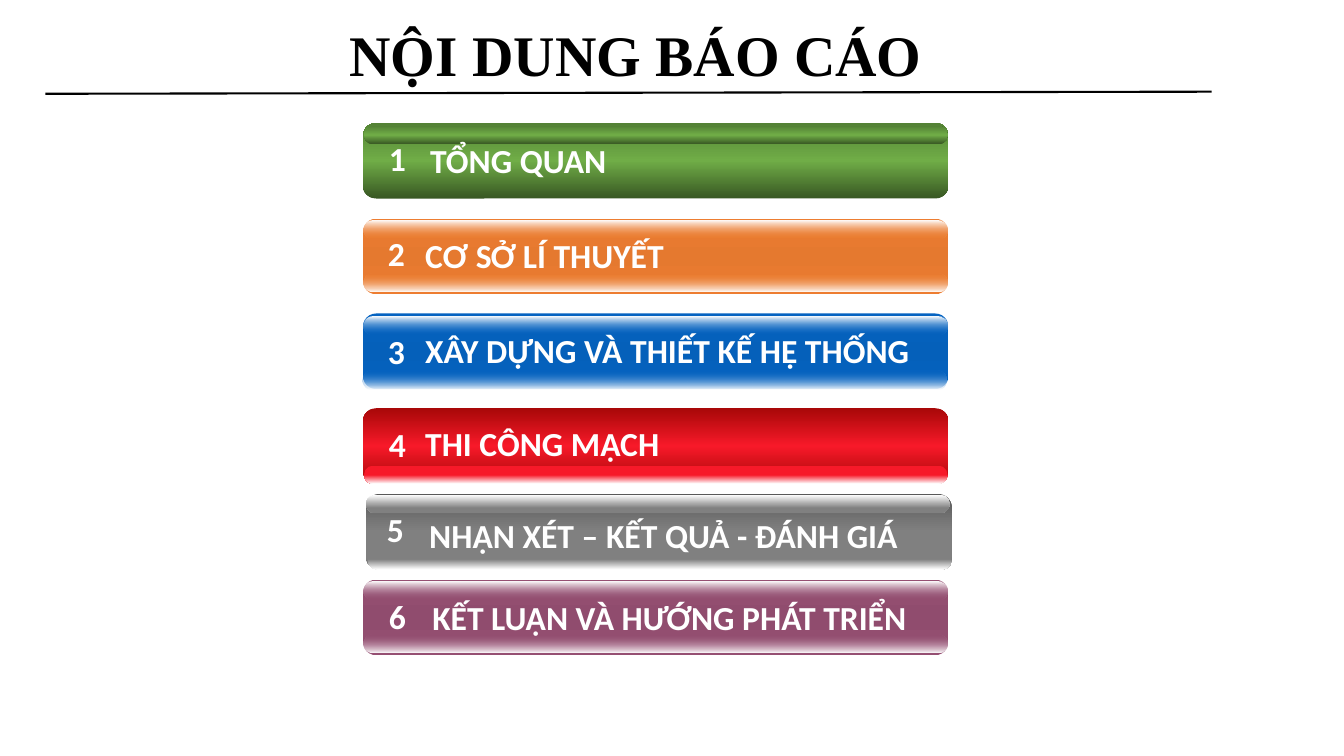
from lxml.etree import SubElement
from pptx import Presentation
from pptx.dml.color import RGBColor
from pptx.enum.shapes import MSO_CONNECTOR, MSO_SHAPE
from pptx.enum.text import MSO_ANCHOR, MSO_AUTO_SIZE, PP_ALIGN
from pptx.oxml.ns import qn
from pptx.util import Pt

# Colours
BLACK = RGBColor(0x00, 0x00, 0x00)
WHITE = RGBColor(0xFF, 0xFF, 0xFF)
PINE = RGBColor(0x38, 0x57, 0x23)
GREEN = RGBColor(0x70, 0xAD, 0x47)
MOSS = RGBColor(0x54, 0x82, 0x35)
ORANGE = RGBColor(0xED, 0x7D, 0x31)
RUST = RGBColor(0xE5, 0x79, 0x2F)
BLUE = RGBColor(0x05, 0x63, 0xC1)
NAVY = RGBColor(0x05, 0x60, 0xBA)
MAROON = RGBColor(0xA8, 0x08, 0x08)
RED = RGBColor(0xF7, 0x19, 0x29)
SLATE = RGBColor(0x59, 0x59, 0x59)
GREY = RGBColor(0x80, 0x80, 0x80)
PLUM = RGBColor(0x95, 0x4F, 0x72)
GRAPE = RGBColor(0x90, 0x4C, 0x6E)

# Sizes in points
BAR = (418.3, 54)
GLOSS = (416.9, 13)
INDENT = 36

# Text formats
TITLE = {"name": "Times New Roman", "size": Pt(41), "bold": True}
LABEL = {"name": "Calibri", "size": Pt(24), "bold": True}


def fade(main, mid):
    return [(0, main), (50, mid), (100, main)]


def shine(color):
    """Highlights at the top and the bottom edge of a bar."""
    top = [(0, WHITE), (100, color, 0)]
    low = [(0, color, 0), (100, WHITE)]
    return top, low


LEAF = [(0, PINE), (50, GREEN), (100, MOSS)]
SUN_TOP, SUN_LOW = shine(ORANGE)
SKY_TOP, SKY_LOW = shine(BLUE)
WINE_TOP, WINE_LOW = shine(PLUM)

# Bar: left, top, stops, angle; glosses: left, top, stops
# Number: left, top; label: left, top, width, text
ROWS = [
    ((259.2, 87.8, LEAF, 270), [(260, 90, LEAF)],
     (270.7, 95), (300.2, 96.5, 354.2, "TỔNG QUAN")),
    ((259.2, 156.2, fade(ORANGE, RUST), 90),
     [(260, 195.1, SUN_LOW), (260, 157.7, SUN_TOP)],
     (270, 162.7), (296.6, 164.2, 354.2, "CƠ SỞ LÍ THUYẾT")),
    ((259.2, 223.9, fade(BLUE, NAVY), 90),
     [(259.2, 265, SKY_LOW), (260, 226.1, SKY_TOP)],
     (270, 232.6), (296.6, 231.8, 379.4, "XÂY DỰNG VÀ THIẾT KẾ HỆ THỐNG")),
    ((259.2, 291.6, fade(MAROON, RED), 270),
     [(260, 332.6, [(52, RED), (100, WHITE)])],
     (270.7, 299.5), (296.6, 298.8, 354.2, "THI CÔNG MẠCH")),
    ((261.4, 352.8, [(0, SLATE), (50, GREY), (100, GREY)], 90),
     [(262.8, 393.8, [(44, GREY), (100, WHITE)]),
      (261.4, 353.5, [(0, WHITE), (72, GREY)])],
     (269.3, 360), (299.5, 364.3, 354.2, "NHẬN XÉT – KẾT QUẢ - ĐÁNH GIÁ")),
    ((259.2, 414, fade(PLUM, GRAPE), 90),
     [(260, 452.9, WINE_LOW), (260, 415.4, WINE_TOP)],
     (270.7, 421.9), (301.7, 422.6, 354.2, "KẾT LUẬN VÀ HƯỚNG PHÁT TRIỂN")),
]


class Deck:
    def __init__(self):
        self.prs = Presentation()
        self.prs.slide_width, self.prs.slide_height = Pt(960), Pt(540)
        self.slide = self.prs.slides.add_slide(self.prs.slide_layouts[6])

    def text(self, words, box, style, color, indent=0):
        shape = self.slide.shapes.add_textbox(*map(Pt, box))
        frame = shape.text_frame
        frame.word_wrap = True
        para = frame.paragraphs[0]
        if indent:
            props = para._p.get_or_add_pPr()
            props.set("marL", str(Pt(indent)))
            props.set("indent", str(-Pt(indent)))
        run = para.add_run()
        run.text = words
        for key, value in style.items():
            setattr(run.font, key, value)
        run.font.color.rgb = color
        return frame

    def round(self, shapes, left, top, size, curve, stops, angle):
        shape = shapes.add_shape(MSO_SHAPE.ROUNDED_RECTANGLE,
                                 Pt(left), Pt(top), *map(Pt, size))
        shape.adjustments[0] = curve
        shape.shadow.inherit = False
        shape.line.fill.background()
        # Gradient with any number of stops
        shape.fill.gradient()
        grad = shape._element.spPr.find(qn("a:gradFill"))
        for child in list(grad):
            grad.remove(child)
        items = SubElement(grad, qn("a:gsLst"))
        for place, color, *alpha in stops:
            stop = SubElement(items, qn("a:gs"), pos=str(place * 1000))
            tone = SubElement(stop, qn("a:srgbClr"), val=str(color))
            for value in alpha:
                SubElement(tone, qn("a:alpha"), val=str(value * 1000))
        SubElement(grad, qn("a:lin"), ang=str(angle * 60000), scaled="1")

    def rule(self, start, end, color, width):
        line = self.slide.shapes.add_connector(
            MSO_CONNECTOR.STRAIGHT, *map(Pt, start + end))
        line.line.color.rgb = color
        line.line.width = Pt(width)
        SubElement(line._element.spPr, qn("a:effectLst"))

    def row(self, number, bar, glosses, spot, label):
        left, top, stops, angle = bar
        group = self.slide.shapes.add_group_shape().shapes
        self.round(group, left, top, BAR, 0.175, stops, angle)
        for x, y, shades in glosses:
            self.round(group, x, y, GLOSS, 0.5, shades, angle if shades is stops else 90)
        x, y, width, words = label
        frames = [self.text(str(number), (*spot, 30.2, 36), LABEL, WHITE),
                  self.text(words, (x, y, width, 36), LABEL, WHITE, INDENT)]
        for frame in frames:
            frame.auto_size = MSO_AUTO_SIZE.SHAPE_TO_FIT_TEXT


def main():
    deck = Deck()

    # Heading and its rule
    head = deck.text("NỘI DUNG BÁO CÁO", (141.1, 1.4, 626.4, 79.9), TITLE, BLACK)
    head.vertical_anchor = MSO_ANCHOR.MIDDLE
    head.paragraphs[0].alignment = PP_ALIGN.CENTER
    head.paragraphs[0].line_spacing = 0.9
    deck.rule((32.4, 67), (865.4, 65.5), BLACK, 1.5)

    # Agenda bars
    for number, parts in enumerate(ROWS, 1):
        deck.row(number, *parts)

    deck.prs.save("out.pptx")


if __name__ == "__main__":
    main()
